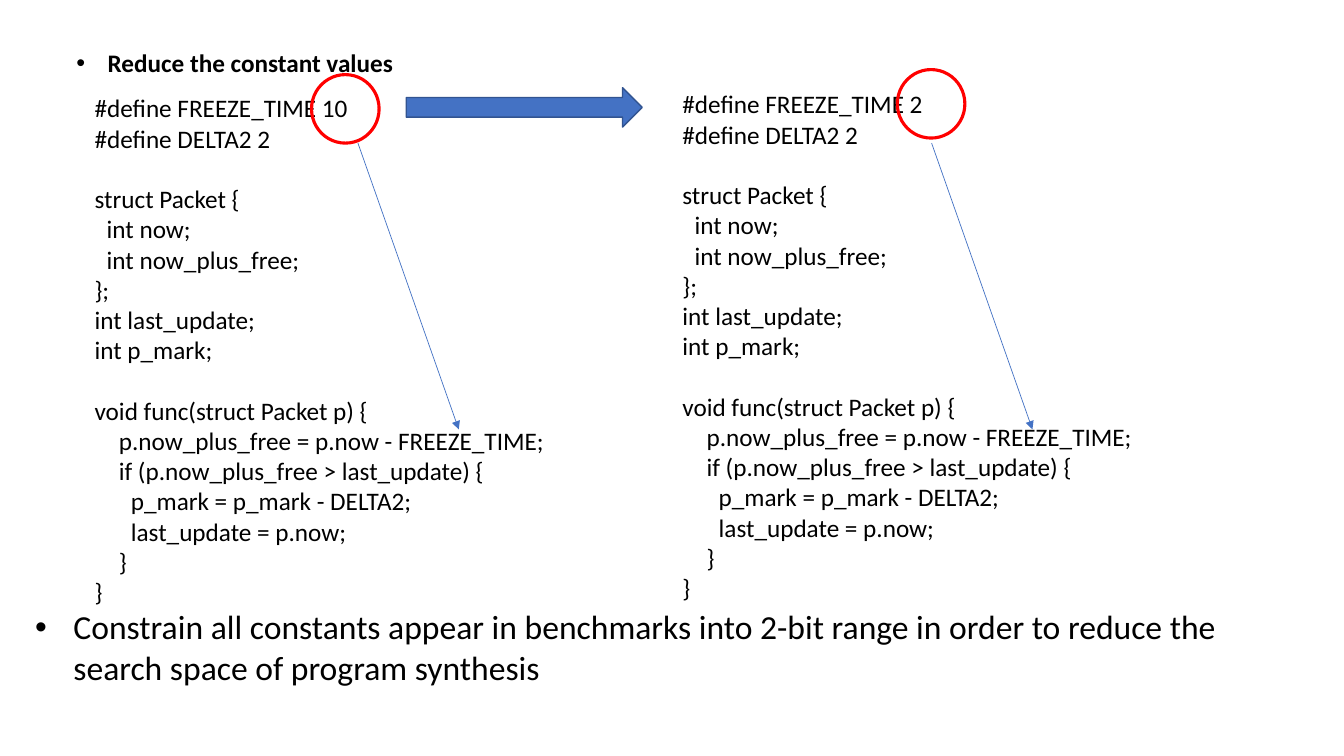
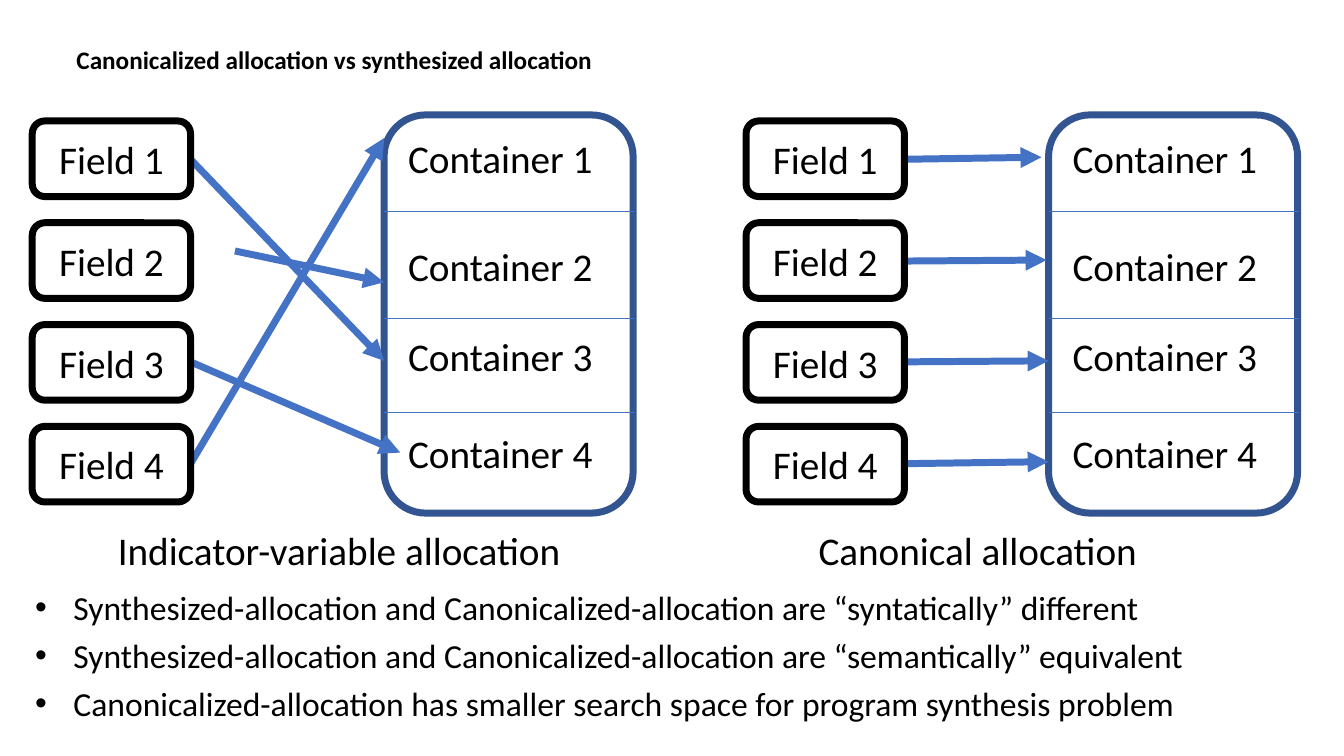
from lxml.etree import SubElement
from pptx import Presentation
from pptx.dml.color import RGBColor
from pptx.enum.shapes import MSO_CONNECTOR as LINE, MSO_SHAPE as SHAPE
from pptx.enum.text import MSO_ANCHOR as ANCHOR, MSO_AUTO_SIZE as AUTO, PP_ALIGN as ALIGN
from pptx.oxml.ns import qn
from pptx.util import Inches, Pt

BLACK = RGBColor(0x00, 0x00, 0x00)
RED = RGBColor(0xFF, 0x00, 0x00)
BLUE = RGBColor(0x44, 0x72, 0xC4)
NAVY = RGBColor(0x32, 0x54, 0x91)
FONT = "Calibri"
SMALL, BODY, LARGE = 18, 24, 28
THIN, THICK = 0.5, 5
CODE_LINE = 21.6   # points
CODE_SPACE = 0.06  # inches per leading space

CODE = """#define DELTA2 2

struct Packet {
  int now;
  int now_plus_free;
};
int last_update;
int p_mark;

void func(struct Packet p) {
    p.now_plus_free = p.now - FREEZE_TIME;
    if (p.now_plus_free > last_update) {
      p_mark = p_mark - DELTA2;
      last_update = p.now;
    }
}"""


class Deck:
    def __init__(self):
        self.prs = Presentation()
        self.prs.slide_width, self.prs.slide_height = Inches(13.33), Inches(7.5)

    def new_slide(self):
        self.shapes = self.prs.slides.add_slide(self.prs.slide_layouts[6]).shapes

    def style(self, p, size, bold=False):
        for r in p.runs:
            r.font.name, r.font.size, r.font.bold = FONT, Pt(size), bold
            r.font.color.rgb = BLACK

    def bullet(self, p, indent):
        pPr = p._p.get_or_add_pPr()
        pPr.set("marL", str(Inches(indent)))
        pPr.set("indent", str(-Inches(indent)))
        SubElement(pPr, qn("a:buFont"), typeface="Arial")
        SubElement(pPr, qn("a:buChar"), char="•")

    def text(self, x, y, w, h, text, size, bold=False, wrap=True):
        s = self.shapes.add_textbox(Inches(x), Inches(y), Inches(w), Inches(h))
        tf = s.text_frame
        tf.text, tf.word_wrap = text, wrap
        for p in tf.paragraphs:
            self.style(p, size, bold)
        return tf

    def title(self, y, w, text, bulleted=False):
        tf = self.text(0.66, y, w, 0.4, text, SMALL, bold=True, wrap=False)
        tf.auto_size = AUTO.SHAPE_TO_FIT_TEXT
        if bulleted:
            self.bullet(tf.paragraphs[0], 0.31)

    def bullets(self, y, h, items, anchor=ANCHOR.TOP):
        tf = self.text(0.25, y, 12.84, h, "\n".join(items), BODY)
        tf.vertical_anchor = anchor
        for i, p in enumerate(tf.paragraphs):
            p.space_before = Pt(5.5 if i else 0)
            self.bullet(p, 0.38)

    def code(self, x, y, source):
        """Set code with indents for leading spaces and spacing for empty lines."""
        tf = self.text(x, y, 4.84, 5.55, "", SMALL)
        gap, p = 0, tf.paragraphs[0]
        for i, line in enumerate(source.split("\n")):
            if not line:
                gap = CODE_LINE
                continue
            if i:
                p = tf.add_paragraph()
            p.text = line.lstrip()
            p.space_before = Pt(gap)
            depth = len(line) - len(p.text)
            p._p.get_or_add_pPr().set("marL", str(Inches(depth * CODE_SPACE)))
            self.style(p, SMALL)
            gap = 0

    def shape(self, kind, x, y, w, h, line, width, fill=None):
        s = self.shapes.add_shape(kind, Inches(x), Inches(y), Inches(w), Inches(h))
        s.shadow.inherit = False
        if fill is None:
            s.fill.background()
        else:
            s.fill.solid()
            s.fill.fore_color.rgb = fill
        s.line.color.rgb, s.line.width = line, Pt(width)
        return s

    def line(self, start, end, width, arrow=False):
        s = self.shapes.add_connector(LINE.STRAIGHT, *map(Inches, (*start, *end)))
        s.line.color.rgb, s.line.width = BLUE, Pt(width)
        if arrow:
            SubElement(s.line._get_or_add_ln(), qn("a:tailEnd"), type="triangle")
        SubElement(s._element.spPr, qn("a:effectLst"))

    def field(self, x, y, text):
        s = self.shape(SHAPE.ROUNDED_RECTANGLE, x, y, 1.57, 0.75, BLACK, THICK)
        tf = s.text_frame
        tf.text, tf.vertical_anchor = text, ANCHOR.MIDDLE
        tf.margin_left = tf.margin_right = Inches(0.16)
        tf.margin_top = tf.margin_bottom = Inches(0.08)
        tf.paragraphs[0].alignment = ALIGN.CENTER
        self.style(tf.paragraphs[0], LARGE)

    def containers(self, x):
        """Draw one grouped panel split into four labelled containers."""
        slide_shapes = self.shapes
        self.shapes = slide_shapes.add_group_shape().shapes
        self.shape(SHAPE.ROUNDED_RECTANGLE, x, 1.14, 2.47, 3.95, NAVY, THICK)
        for y in (2.1, 3.16, 4.09):
            self.line((x, y), (x + 2.48, y), THIN)
        self.shapes = slide_shapes
        for i, y in enumerate((1.28, 2.35, 3.25, 4.21), 1):
            self.text(x + 0.14, y, 2.36, 0.57, f"Container {i}", LARGE)

    def allocation(self, field_x, panel_x, arrows, caption, caption_x, caption_w):
        self.containers(panel_x)
        for start, end in arrows:
            self.line(start, end, THICK, arrow=True)
        for i in range(4):
            self.field(field_x, 1.2 + 1.01 * i, f"Field {i + 1}")
        self.text(caption_x, 5.17, caption_w, 0.57, caption, LARGE)


def constants_slide(deck):
    deck.new_slide()
    deck.title(0.42, 3.37, "Reduce the constant values", bulleted=True)
    versions = (
        (10, 0.84, 0.87, 3.09, 0.74, 3.55),
        (2, 6.67, 0.83, 8.9, 0.69, 9.24),
    )
    for value, x, y, ring_x, ring_y, arrow_x in versions:
        deck.code(x, y, f"#define FREEZE_TIME {value}\n{CODE}")
        deck.shape(SHAPE.OVAL, ring_x, ring_y, 0.67, 0.68, RED, 2.25)
        deck.line((arrow_x, 1.42), (arrow_x + 1, 4.26), THIN, arrow=True)
    deck.shape(SHAPE.RIGHT_ARROW, 4.03, 0.87, 2.34, 0.39, NAVY, 1, BLUE)
    deck.bullets(5.79, 1.25, [
        "Constrain all constants appear in benchmarks into 2-bit range in order "
        "to reduce the search space of program synthesis",
    ], ANCHOR.MIDDLE)


def allocation_slide(deck):
    deck.new_slide()
    deck.title(0.39, 5.35, "Canonicalized allocation vs synthesized allocation")
    crossing = (
        ((1.89, 1.58), (3.81, 3.58)),
        ((2.33, 2.49), (3.81, 2.8)),
        ((1.89, 3.59), (3.97, 4.49)),
        ((1.89, 4.6), (3.81, 1.37)),
    )
    direct = (
        ((8.98, 1.58), (10.33, 1.56)),
        ((8.98, 2.59), (10.38, 2.58)),
        ((8.98, 3.59), (10.4, 3.58)),
        ((8.98, 4.6), (10.4, 4.58)),
    )
    deck.allocation(0.32, 3.81, crossing, "Indicator-variable allocation", 1.07, 4.78)
    deck.allocation(7.4, 10.4, direct, "Canonical allocation", 8.02, 3.49)
    deck.bullets(5.77, 1.46, [
        "Synthesized-allocation and Canonicalized-allocation are “syntatically” different",
        "Synthesized-allocation and Canonicalized-allocation are “semantically” equivalent",
        "Canonicalized-allocation has smaller search space for program synthesis problem",
    ])


def main():
    deck = Deck()
    constants_slide(deck)
    allocation_slide(deck)
    deck.prs.save("out.pptx")


if __name__ == "__main__":
    main()
